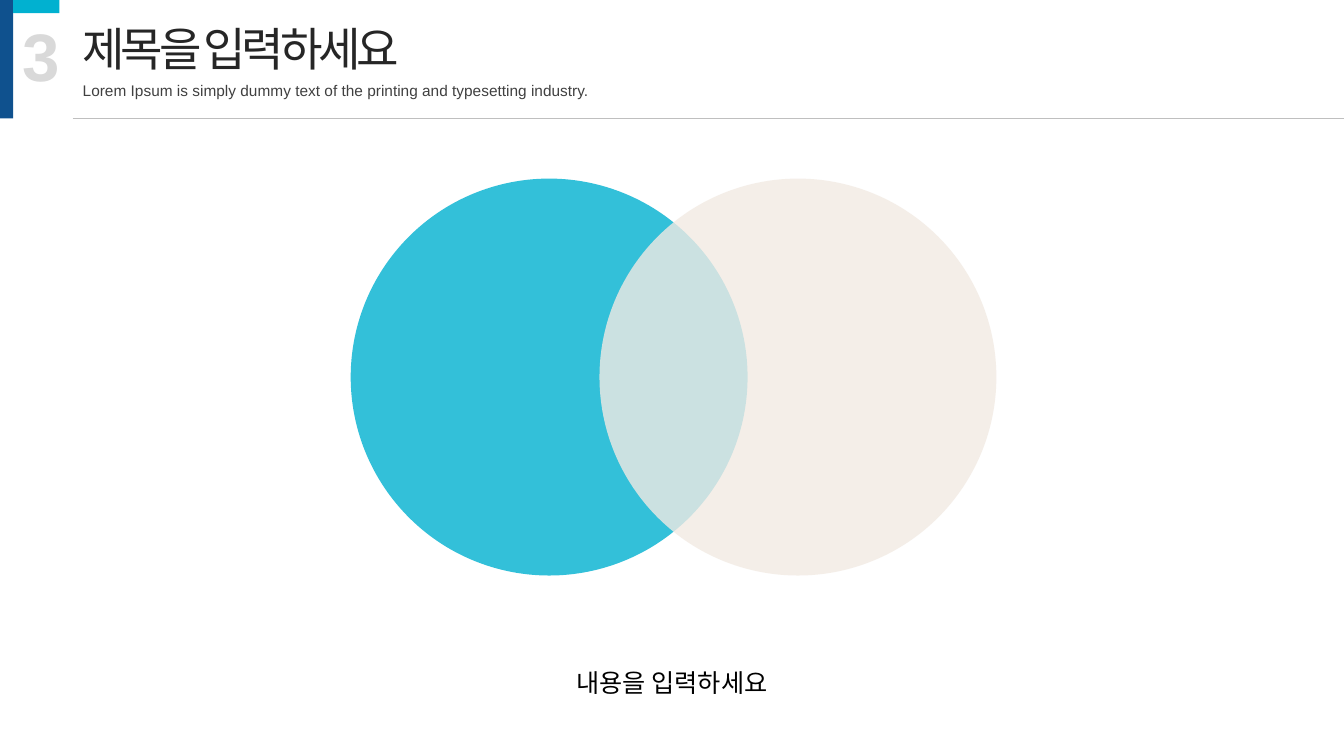
"""Build a title slide section with two overlapping circles and a caption."""
from dataclasses import dataclass

from lxml import etree
from pptx import Presentation
from pptx.dml.color import RGBColor
from pptx.enum.shapes import MSO_CONNECTOR as Connector
from pptx.enum.shapes import MSO_SHAPE as Preset
from pptx.enum.text import MSO_AUTO_SIZE as AutoSize
from pptx.enum.text import PP_ALIGN as Align
from pptx.oxml.ns import qn
from pptx.slide import Slide
from pptx.util import Pt

NAVY = RGBColor(0x0F, 0x51, 0x8E)
CYAN = RGBColor(0x01, 0xB1, 0xD0)
CREAM = RGBColor(0xF2, 0xEA, 0xE3)
BLACK = RGBColor(0x00, 0x00, 0x00)
CHARCOAL = RGBColor(0x26, 0x26, 0x26)
DARK_GRAY = RGBColor(0x40, 0x40, 0x40)
RULE_GRAY = RGBColor(0xBF, 0xBF, 0xBF)
NUMBER_GRAY = RGBColor(0xD9, 0xD9, 0xD9)

SLIDE_WIDTH, SLIDE_HEIGHT = 960, 540
CIRCLE_SIZE, CIRCLE_TOP = 283.5, 127.6
BAR = 9.4
HEADER_LEFT, HEADER_BOTTOM = 52, 84.6


@dataclass(frozen=True)
class Panel:
    preset: Preset
    left: float
    top: float
    width: float
    height: float
    color: RGBColor
    opacity: int = 100


@dataclass(frozen=True)
class Label:
    text: str
    left: float
    top: float
    width: float
    height: float
    size: float
    color: RGBColor
    align: Align = Align.LEFT
    bold: bool = False
    wrap: bool = False
    spacing: float = 0


PANELS = [
    Panel(Preset.OVAL, 250.5, CIRCLE_TOP, CIRCLE_SIZE, CIRCLE_SIZE, CYAN, 80),
    Panel(Preset.OVAL, 428.2, CIRCLE_TOP, CIRCLE_SIZE, CIRCLE_SIZE, CREAM, 80),
    Panel(Preset.RECTANGLE, 0, 0, BAR, HEADER_BOTTOM, NAVY),
    Panel(Preset.RECTANGLE, BAR, 0, 33, BAR, CYAN),
]

LABELS = [
    Label("내용을 입력하세요", 399.5, 473, 161, 29, 18, BLACK, align=Align.CENTER),
    Label("제목을 입력하세요", HEADER_LEFT, 10.8, 247, 48.2, 33, CHARCOAL,
          wrap=True, spacing=-3),
    Label("Lorem Ipsum is simply dummy text of the printing and typesetting industry.",
          HEADER_LEFT, 54.7, 384, 20.6, 11, DARK_GRAY),
    Label("3", 8.8, 6.5, 41.5, 65.5, 48, NUMBER_GRAY, bold=True),
]


def draw_panel(slide: Slide, panel: Panel) -> None:
    """Draw one filled shape without outline."""
    shape = slide.shapes.add_shape(panel.preset, Pt(panel.left), Pt(panel.top),
                                   Pt(panel.width), Pt(panel.height))
    shape.shadow.inherit = False
    shape.line.fill.background()
    shape.fill.solid()
    shape.fill.fore_color.rgb = panel.color
    if panel.opacity < 100:
        color = shape.fill._xPr.find(qn("a:solidFill")).find(qn("a:srgbClr"))
        etree.SubElement(color, qn("a:alpha"), val=str(panel.opacity * 1000))


def draw_label(slide: Slide, label: Label) -> None:
    """Draw one single-run text box."""
    shape = slide.shapes.add_textbox(Pt(label.left), Pt(label.top),
                                     Pt(label.width), Pt(label.height))
    frame = shape.text_frame
    frame.word_wrap = label.wrap
    frame.auto_size = AutoSize.SHAPE_TO_FIT_TEXT
    paragraph = frame.paragraphs[0]
    paragraph.alignment = label.align
    run = paragraph.add_run()
    run.text = label.text
    run.font.name = "Arial"
    run.font.size = Pt(label.size)
    run.font.bold = label.bold
    run.font.color.rgb = label.color
    if label.spacing:
        run._r.get_or_add_rPr().set("spc", str(round(label.spacing * 100)))


def draw_header_rule(slide: Slide) -> None:
    """Draw the thin line under the header."""
    rule = slide.shapes.add_connector(Connector.STRAIGHT, Pt(HEADER_LEFT), Pt(HEADER_BOTTOM),
                                      Pt(SLIDE_WIDTH), Pt(HEADER_BOTTOM))
    rule.line.color.rgb = RULE_GRAY
    rule.line.width = Pt(0.5)
    etree.SubElement(rule._element.spPr, qn("a:effectLst"))


def main() -> None:
    """Assemble and save the presentation."""
    presentation = Presentation()
    presentation.slide_width = Pt(SLIDE_WIDTH)
    presentation.slide_height = Pt(SLIDE_HEIGHT)
    slide = presentation.slides.add_slide(presentation.slide_layouts[6])
    for panel in PANELS:
        draw_panel(slide, panel)
    for label in LABELS:
        draw_label(slide, label)
    draw_header_rule(slide)
    presentation.save("out.pptx")


if __name__ == "__main__":
    main()
